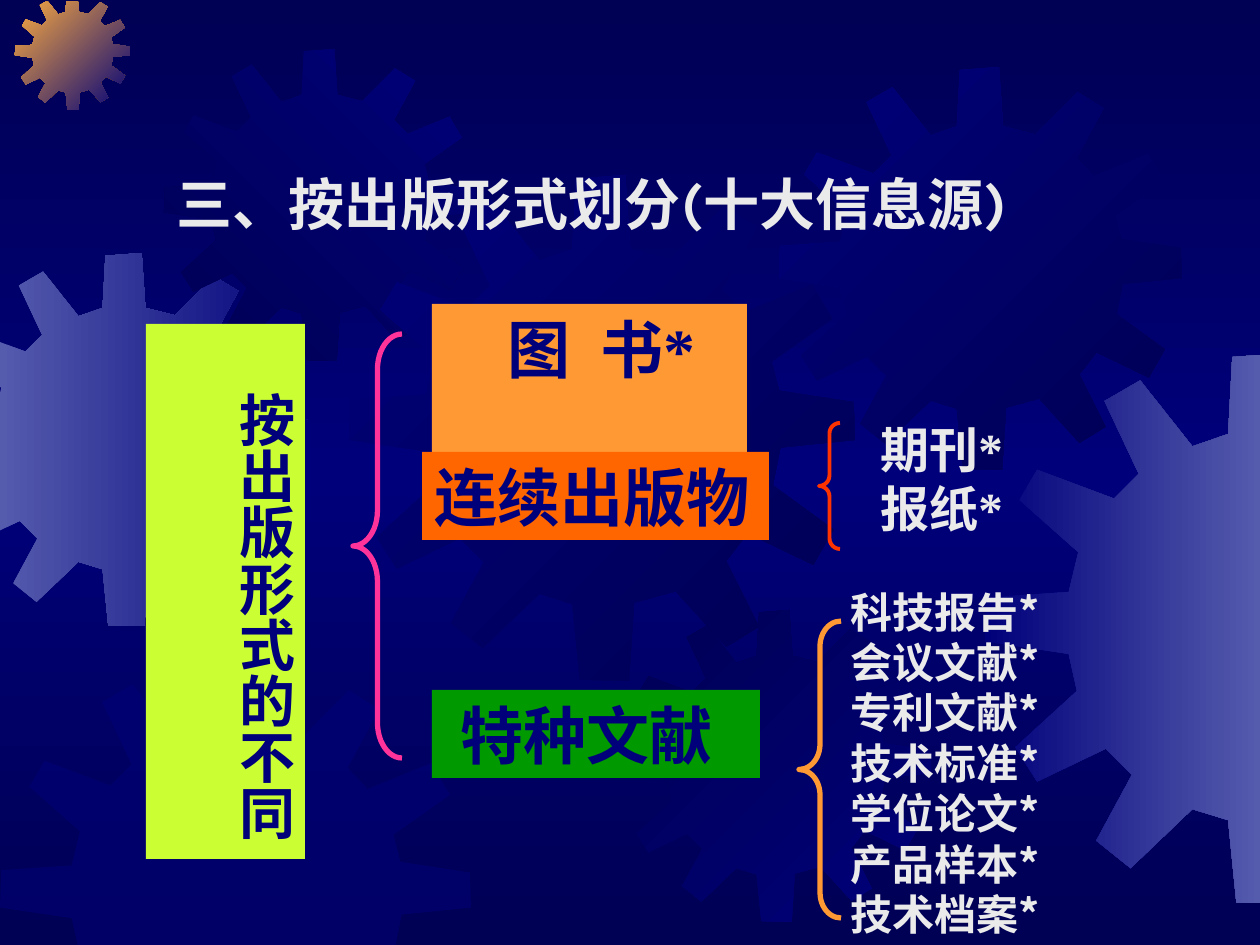
import copy
from typing import NamedTuple, Optional

import pptx
import pptx.dml.color
import pptx.enum.shapes
import pptx.enum.text
import pptx.oxml
import pptx.oxml.ns
import pptx.util

RGB = pptx.dml.color.RGBColor
NAVY = RGB(0x00, 0x00, 0x54)
BLUE = RGB(0x00, 0x00, 0x7A)
STEEL = RGB(0x55, 0x5B, 0xAD)
GOLD = RGB(0xFC, 0xAB, 0x40)
LIME = RGB(0xCC, 0xFF, 0x33)
PINK = RGB(0xFF, 0x33, 0x99)
AMBER = RGB(0xFF, 0x99, 0x33)
ORANGE = RGB(0xFF, 0x66, 0x00)
GREEN = RGB(0x00, 0x99, 0x00)
RED = RGB(0xFF, 0x33, 0x00)
PALE = RGB(0xEA, 0xEA, 0xEA)

SERIF, SANS, HEAD = "Times New Roman", "Noto Sans CJK SC", "Karla"
WIDE, HIGH, TOP = 1260, 945, 2
SHAPE = pptx.enum.shapes.MSO_SHAPE

# Gear outline in a square of side UNIT
UNIT = 401
TEETH = [
    (255, 67), (223, 59), (219, 0), (180, 3), (177, 59), (151, 68),
    (113, 20), (87, 35), (112, 88), (94, 106), (38, 85), (25, 107),
    (68, 145), (61, 174), (1, 178), (0, 210), (61, 219), (67, 246),
    (22, 287), (38, 312), (88, 288), (107, 307), (81, 355), (106, 375),
    (151, 332), (177, 340), (183, 400), (222, 401), (226, 339), (259, 330),
    (299, 374), (325, 358), (299, 306), (316, 284), (368, 309), (384, 281),
    (336, 246), (342, 216), (401, 210), (400, 180), (341, 171), (335, 148),
    (383, 114), (367, 87), (313, 109), (296, 91), (323, 41), (297, 25),
]


class Gear(NamedTuple):
    x: int
    y: int
    size: int
    start: RGB
    end: Optional[RGB] = None  # no end colour: half-clear plain fill
    angle: int = 0  # counter-clockwise


class Brace(NamedTuple):
    x: int
    y: int
    w: int
    h: int
    color: RGB
    width: float
    curve: float


class Box(NamedTuple):
    x: int
    y: int
    w: int
    h: int
    lines: list[str]
    size: int
    color: RGB = BLUE
    font: str = SERIF
    fill: Optional[RGB] = None
    indent: int = 0  # points
    upright: bool = False


GEARS = [
    Gear(-62, 253, 373, STEEL, BLUE),
    Gear(15, -5, 115, GOLD, BLUE, 315),
    Gear(164, 49, 312, NAVY, BLUE, 45),
    Gear(349, 175, 506, BLUE, NAVY, 315),
    Gear(0, 661, 471, BLUE),
    Gear(619, 610, 312, NAVY, BLUE, 315),
    Gear(779, 67, 403, BLUE, NAVY, 315),
    Gear(985, 353, 551, BLUE, STEEL),
]
BRACES = [
    Brace(353, 334, 49, 424, PINK, 3, 0.72),
    Brace(799, 621, 42, 297, AMBER, 3, 0.6),
    Brace(819, 423, 21, 126, RED, 2.25, 0.5),
]
BOXES = [
    Box(146, 324, 159, 535, ["按出版形式的不同"], 32, fill=LIME, indent=32, upright=True),
    Box(432, 304, 315, 164, ["图 书*"], 36, fill=AMBER, indent=36),
    Box(422, 452, 347, 88, ["连续出版物"], 36, fill=ORANGE),
    Box(432, 690, 328, 88, ["特种文献"], 36, fill=GREEN, indent=9),
    Box(838, 580, 268, 365,
        ["科技报告*", "会议文献*", "专利文献*", "技术标准*", "学位论文*", "产品样本*", "技术档案*"],
        24, PALE, SANS),
    Box(868, 413, 268, 131, ["期刊*", "报纸*"], 28, PALE),
]
TITLE = Box(164, 163, 982, 81, ["三、按出版形式划分(十大信息源)"], 32, PALE, HEAD)


def px(n: float) -> int:
    return round(n * 914400 / 126)


def clip(points: list, axis: int, edge: int, sign: int) -> list:
    """Keep the part of a polygon on one side of an edge."""
    kept = []
    for a, b in zip(points, points[1:] + points[:1]):
        da, db = sign * (a[axis] - edge), sign * (b[axis] - edge)
        if da >= 0:
            kept.append(a)
        if da * db < 0:
            t = da / (da - db)
            kept.append(tuple(p + t * (q - p) for p, q in zip(a, b)))
    return kept


def draw_gear(slide, gear: Gear) -> None:
    k = gear.size / UNIT
    points = [(gear.x + x * k, gear.y + y * k) for x, y in TEETH]
    for side in ((0, 0, 1), (0, WIDE, -1), (1, TOP, 1), (1, HIGH, -1)):
        points = clip(points, *side)
    spots = [(px(x), px(y)) for x, y in points]
    pen = slide.shapes.build_freeform(*spots[0])
    pen.add_line_segments(spots[1:], close=True)
    shape = pen.convert_to_shape()
    shape.shadow.inherit = False
    shape.line.fill.background()
    if gear.end is None:
        shape.fill.solid()
        shape.fill.fore_color.rgb = gear.start
        tint = shape.element.spPr.find(".//" + pptx.oxml.ns.qn("a:srgbClr"))
        alpha = pptx.oxml.parse_xml(f'<a:alpha {pptx.oxml.ns.nsdecls("a")} val="50000"/>')
        tint.append(alpha)
        return
    shape.fill.gradient()
    shape.fill.gradient_angle = gear.angle
    for stop, color in zip(shape.fill.gradient_stops, (gear.start, gear.end)):
        stop.color.rgb = color


def draw_brace(slide, brace: Brace) -> None:
    shape = slide.shapes.add_shape(SHAPE.LEFT_BRACE, *map(px, brace[:4]))
    shape.adjustments[0] = brace.curve
    shape.shadow.inherit = False
    shape.fill.background()
    shape.line.color.rgb = brace.color
    shape.line.width = pptx.util.Pt(brace.width)


def set_text(shape, box: Box) -> None:
    frame = shape.text_frame
    frame.text = "\n".join(box.lines)
    frame.word_wrap = True
    frame.auto_size = pptx.enum.text.MSO_AUTO_SIZE.NONE
    frame.vertical_anchor = pptx.enum.text.MSO_ANCHOR.TOP
    if box.upright:
        frame.margin_left = frame.margin_right = pptx.util.Inches(0.05)
        frame.margin_top = frame.margin_bottom = pptx.util.Inches(0.1)
        frame._txBody.bodyPr.set("vert", "eaVert")
    for para in frame.paragraphs:
        para.alignment = pptx.enum.text.PP_ALIGN.LEFT
        if box.indent:
            para._p.get_or_add_pPr().set("marL", str(pptx.util.Pt(box.indent)))
        font = para.font
        font.name, font.size, font.bold = box.font, pptx.util.Pt(box.size), True
        font.color.rgb = box.color


def draw_box(slide, box: Box):
    place = [px(n) for n in box[:4]]
    if box.fill is None:
        shape = slide.shapes.add_textbox(*place)
    else:
        shape = slide.shapes.add_shape(SHAPE.RECTANGLE, *place)
        shape.shadow.inherit = False
        shape.fill.solid()
        shape.fill.fore_color.rgb = box.fill
        shape.line.fill.background()
    set_text(shape, box)
    return shape


def paint_back(slide) -> None:
    fill = slide.background.fill
    fill.gradient()
    fill.gradient_angle = 270
    stops = slide.element.find(".//" + pptx.oxml.ns.qn("a:gsLst"))
    stops.append(copy.deepcopy(stops[-1]))
    for stop, at, color in zip(fill.gradient_stops, (0, 0.5, 1), (NAVY, BLUE, NAVY)):
        stop.position = at
        stop.color.rgb = color


def main() -> None:
    deck = pptx.Presentation()
    deck.slide_width, deck.slide_height = px(WIDE), px(HIGH)
    slide = deck.slides.add_slide(deck.slide_layouts[5])
    paint_back(slide)
    for gear in GEARS:
        draw_gear(slide, gear)

    # Topic boxes, braces and lists
    shapes = [draw_box(slide, box) for box in BOXES]
    for brace in BRACES:
        draw_brace(slide, brace)

    # Widen the gap between the two characters of the book label
    para = shapes[1].text_frame.paragraphs[0]
    para.runs[0].text = "图"
    for part in (" ", "书*"):
        para.add_run().text = part
    para.runs[1]._r.get_or_add_rPr().set("spc", "900")

    # Title, brought in front of the gears
    title = slide.shapes.title
    title.left, title.top, title.width, title.height = map(px, TITLE[:4])
    set_text(title, TITLE)
    slide.shapes._spTree.append(title.element)
    deck.save("out.pptx")


if __name__ == "__main__":
    main()
